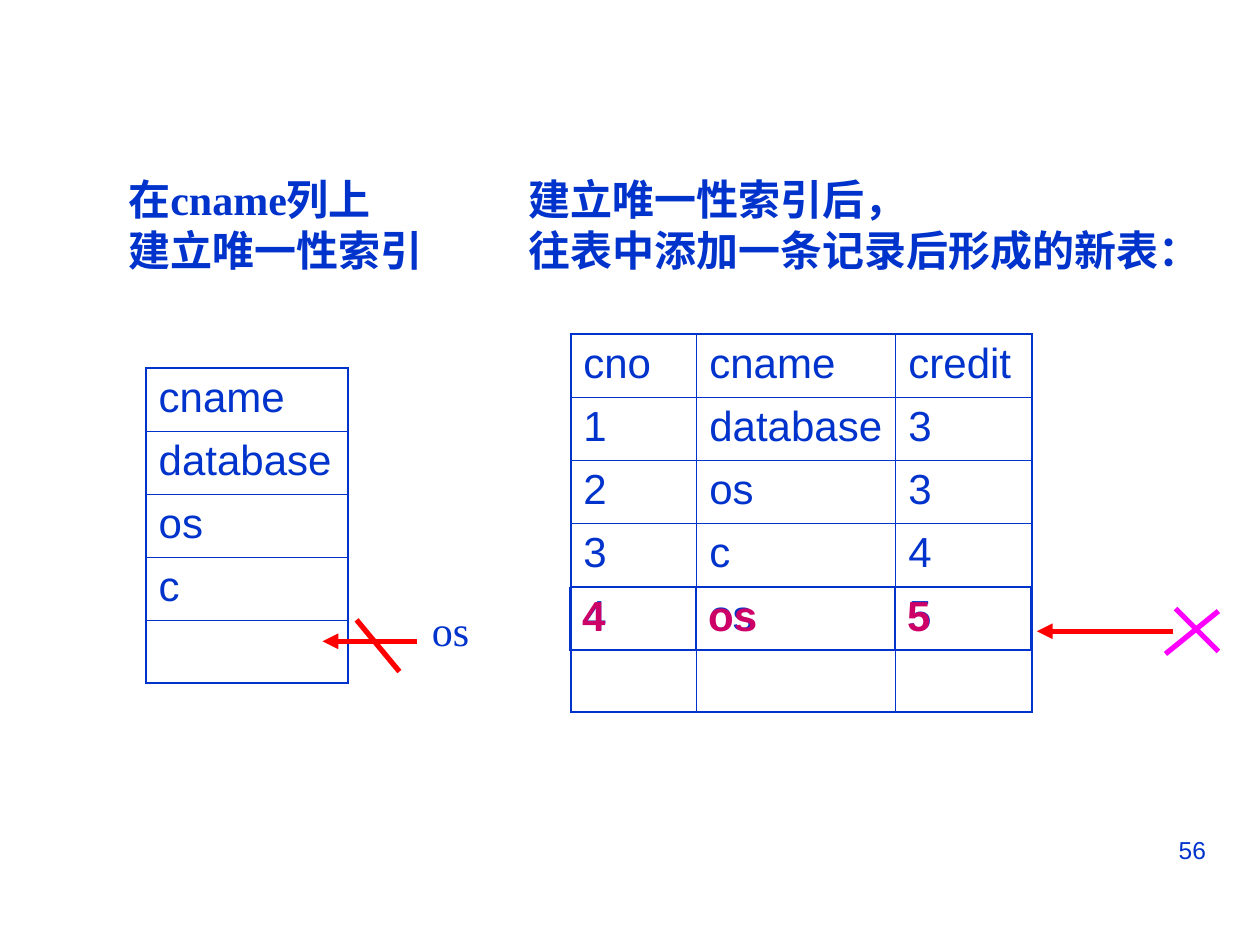
from dataclasses import dataclass

import pptx
import pptx.dml.color
import pptx.enum.shapes
import pptx.enum.text
import pptx.oxml.ns
import pptx.slide
import pptx.table
import pptx.text.text
import pptx.util
from lxml import etree

Inches = pptx.util.Inches
Pt = pptx.util.Pt


@dataclass(frozen=True)
class Theme:
    blue: str = "0033CC"
    red: str = "FF0000"
    magenta: str = "FF00FF"
    crimson: str = "CC0066"
    serif: str = "Times New Roman"
    sans: str = "Arial"
    body_size: float = 24
    number_size: float = 14
    outer_border: float = 1.08
    inner_border: float = 0.45
    stroke: float = 3


THEME = Theme()
ROW_HEIGHT = 0.5
RECORD_COLUMNS = (1, 1.58, 1.08)


@dataclass(frozen=True)
class Label:
    lines: tuple[str, ...]
    left: float
    top: float
    width: float
    height: float
    bold: bool = False
    font: str = THEME.serif
    size: float = THEME.body_size
    right_aligned: bool = False


@dataclass(frozen=True)
class Grid:
    left: float
    top: float
    columns: tuple[float, ...]
    rows: tuple[tuple[str, ...], ...]
    color: str = THEME.blue
    bold: bool = False
    edge: float = THEME.outer_border  # top and bottom edges


@dataclass(frozen=True)
class Stroke:
    start: tuple[float, float]
    end: tuple[float, float]
    color: str = THEME.red
    arrow: bool = False


LABELS = (
    Label(("在cname列上", "建立唯一性索引"), 0.92, 1.33, 2.53, 0.9, bold=True),
    Label(("建立唯一性索引后，", "往表中添加一条记录后形成的新表："),
          4.1, 1.33, 5.53, 0.9, bold=True),
    Label(("os",), 3.33, 4.75, 0.52, 0.5),
    Label(("56",), 7.17, 6.58, 2.5, 0.52, font=THEME.sans,
          size=THEME.number_size, right_aligned=True),
)

GRIDS = (
    # Index column
    Grid(1.16, 2.92, (1.6,), (("cname",), ("database",), ("os",), ("c",), ("",))),
    # Table with the new record
    Grid(4.53, 2.65, RECORD_COLUMNS, (
        ("cno", "cname", "credit"),
        ("1", "database", "3"),
        ("2", "os", "3"),
        ("3", "c", "4"),
        ("4", "os", "5"),
        ("", "", ""),
    )),
    # Highlighted record laid over the table
    Grid(4.52, 4.66, RECORD_COLUMNS, (("4", "os", "5"),),
         color=THEME.crimson, bold=True, edge=THEME.inner_border),
)

STROKES = (
    # Rejected index entry
    Stroke((3.31, 5.09), (2.56, 5.09), arrow=True),
    Stroke((2.83, 4.92), (3.17, 5.33)),
    # Rejected record
    Stroke((9.33, 4.83), (9.67, 5.17), THEME.magenta),
    Stroke((9.67, 4.85), (9.25, 5.19), THEME.magenta),
    Stroke((9.31, 5.01), (8.23, 5.01), arrow=True),
)


def style_font(para: pptx.text.text._Paragraph, name: str, size: float,
               color: str, bold: bool) -> None:
    para.font.name = name
    para.font.size = Pt(size)
    para.font.bold = bold
    para.font.color.rgb = pptx.dml.color.RGBColor.from_string(color)


def draw_label(page: pptx.slide.Slide, label: Label) -> None:
    box = page.shapes.add_textbox(Inches(label.left), Inches(label.top),
                                  Inches(label.width), Inches(label.height))
    frame = box.text_frame
    frame.word_wrap = label.right_aligned
    if not label.right_aligned:
        frame.auto_size = pptx.enum.text.MSO_AUTO_SIZE.SHAPE_TO_FIT_TEXT
    frame.text = "\n".join(label.lines)
    for para in frame.paragraphs:
        if label.right_aligned:
            para.alignment = pptx.enum.text.PP_ALIGN.RIGHT
        style_font(para, label.font, label.size, THEME.blue, label.bold)


def add_border(cell: pptx.table._Cell, side: str, width: float) -> None:
    qn = pptx.oxml.ns.qn
    properties = cell._tc.get_or_add_tcPr()
    line = etree.SubElement(properties, qn(f"a:ln{side}"), w=str(int(Pt(width))))
    fill = etree.SubElement(line, qn("a:solidFill"))
    etree.SubElement(fill, qn("a:srgbClr"), val=THEME.blue)


def draw_grid(page: pptx.slide.Slide, grid: Grid) -> None:
    row_count, column_count = len(grid.rows), len(grid.columns)
    table = page.shapes.add_table(
        row_count, column_count, Inches(grid.left), Inches(grid.top),
        Inches(sum(grid.columns)), Inches(ROW_HEIGHT * row_count)).table
    table.first_row = table.horz_banding = False
    for column, width in zip(table.columns, grid.columns):
        column.width = Inches(width)
    for r, texts in enumerate(grid.rows):
        for c, text in enumerate(texts):
            cell = table.cell(r, c)
            cell.text = text
            style_font(cell.text_frame.paragraphs[0], THEME.sans,
                       THEME.body_size, grid.color, grid.bold)
            # Outer edges are heavier than inner rules
            for side, is_edge, edge in (
                ("L", c == 0, THEME.outer_border),
                ("R", c == column_count - 1, THEME.outer_border),
                ("T", r == 0, grid.edge),
                ("B", r == row_count - 1, grid.edge),
            ):
                add_border(cell, side, edge if is_edge else THEME.inner_border)
            cell.fill.background()


def draw_stroke(page: pptx.slide.Slide, stroke: Stroke) -> None:
    qn = pptx.oxml.ns.qn
    connector = page.shapes.add_connector(
        pptx.enum.shapes.MSO_CONNECTOR.STRAIGHT,
        *(Inches(value) for value in stroke.start + stroke.end))
    connector.line.width = Pt(THEME.stroke)
    connector.line.color.rgb = pptx.dml.color.RGBColor.from_string(stroke.color)
    if stroke.arrow:
        etree.SubElement(connector.line._get_or_add_ln(), qn("a:tailEnd"),
                         type="triangle")
    etree.SubElement(connector._element.spPr, qn("a:effectLst"))


def main() -> None:
    deck = pptx.Presentation()
    deck.slide_width, deck.slide_height = Inches(10), Inches(7.5)
    page = deck.slides.add_slide(deck.slide_layouts.get_by_name("Blank"))

    for label in LABELS:
        draw_label(page, label)
    for grid in GRIDS:
        draw_grid(page, grid)
    for stroke in STROKES:
        draw_stroke(page, stroke)
    deck.save("out.pptx")


if __name__ == "__main__":
    main()
